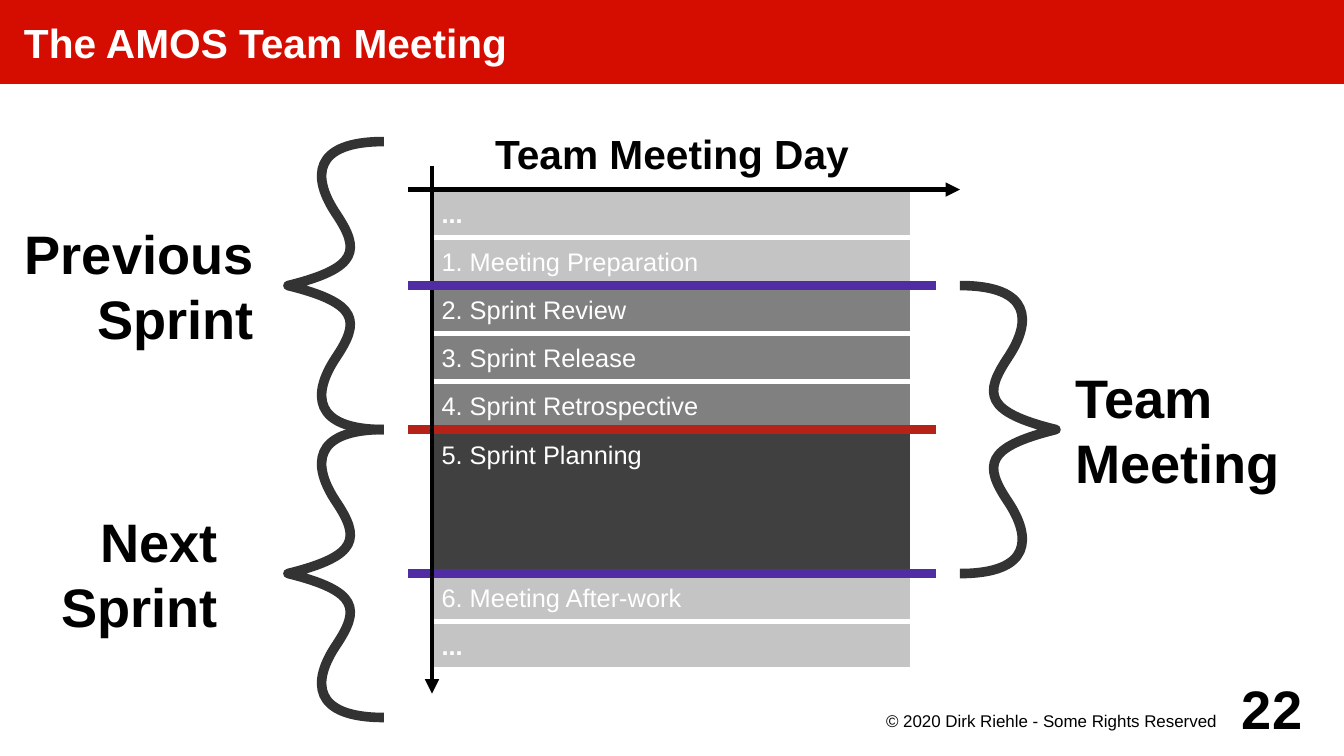
"""Build the team meeting agenda slide with its sprint braces."""
from lxml import etree
from pptx import Presentation
from pptx.dml.color import RGBColor
from pptx.enum import shapes, text
from pptx.oxml import ns
from pptx.util import Cm, Pt

BLACK = RGBColor(0x00, 0x00, 0x00)
WHITE = RGBColor(0xFF, 0xFF, 0xFF)
TITLE_RED = RGBColor(0xD5, 0x0D, 0x01)
LIGHT = RGBColor(0xC4, 0xC4, 0xC4)
MEDIUM = RGBColor(0x80, 0x80, 0x80)
DARK = RGBColor(0x40, 0x40, 0x40)
BRACE = RGBColor(0x33, 0x33, 0x33)
PURPLE = RGBColor(0x50, 0x2D, 0xA2)
RED = RGBColor(0xB6, 0x21, 0x18)
LEFT, CENTER, RIGHT = text.PP_ALIGN.LEFT, text.PP_ALIGN.CENTER, text.PP_ALIGN.RIGHT
TOP, MIDDLE = text.MSO_ANCHOR.TOP, text.MSO_ANCHOR.MIDDLE


def write(sp, content, size=15, color=BLACK, bold=False, align=LEFT,
          anchor=MIDDLE, insets=(0.2, 0.2, 0.2, 0.2)):
    tf = sp.text_frame
    tf.word_wrap = True
    tf.vertical_anchor = anchor
    tf.margin_left, tf.margin_top, tf.margin_right, tf.margin_bottom = map(Cm, insets)
    for i, line in enumerate(content.split("\n")):
        p = tf.add_paragraph() if i else tf.paragraphs[0]
        p.alignment = align
        r = p.add_run()
        r.text = line
        r.font.name, r.font.size, r.font.bold = "Arial", Pt(size), bold
        r.font.color.rgb = color


def stroke(sp, color, width, end):
    sp.line.color.rgb = color
    sp.line.width = Pt(width)
    ln = sp.line._get_or_add_ln()
    etree.SubElement(ln, ns.qn("a:round"))
    if end:
        etree.SubElement(ln, ns.qn("a:tailEnd"), type=end)


prs = Presentation()
prs.slide_width, prs.slide_height = Cm(28), Cm(15.75)
s = prs.slides.add_slide(prs.slide_layouts[6])

title = s.shapes.add_shape(shapes.MSO_SHAPE.RECTANGLE, 0, 0, Cm(28), Cm(1.75))
title.shadow.inherit = False
title.fill.solid()
title.fill.fore_color.rgb = TITLE_RED
title.line.fill.background()
write(title, "The AMOS Team Meeting", size=24, color=WHITE, bold=True, insets=(0.5, 0, 0, 0))

agenda = [
    ("...", LIGHT, 1),
    ("1. Meeting Preparation", LIGHT, 1),
    ("2. Sprint Review", MEDIUM, 1),
    ("3. Sprint Release", MEDIUM, 1),
    ("4. Sprint Retrospective", MEDIUM, 1),
    ("5. Sprint Planning", DARK, 3),
    ("6. Meeting After-work", LIGHT, 1),
    ("...", LIGHT, 1),
]
y = 3.95
for label, shade, height in agenda:
    sp = s.shapes.add_shape(shapes.MSO_SHAPE.RECTANGLE, Cm(9), Cm(y), Cm(10), Cm(height))
    sp.shadow.inherit = False
    sp.fill.solid()
    sp.fill.fore_color.rgb = shade
    sp.line.color.rgb = WHITE
    sp.line.width = Pt(2.83)
    write(sp, label, color=WHITE, bold=label == "...", anchor=TOP if height > 1 else MIDDLE)
    y += height

lines = [
    (8.5, 11.95, 19.5, 11.95, PURPLE, 5.67, None),
    (8.5, 3.95, 20, 3.95, BLACK, 2.83, "triangle"),
    (8.5, 8.95, 19.5, 8.95, RED, 5.67, None),
    (9, 3.45, 9, 14.45, BLACK, 2.83, "triangle"),
    (8.5, 5.95, 19.5, 5.95, PURPLE, 5.67, None),
]
for x1, y1, x2, y2, color, width, end in lines:
    cx = s.shapes.add_connector(shapes.MSO_CONNECTOR.STRAIGHT, Cm(x1), Cm(y1), Cm(x2), Cm(y2))
    stroke(cx, color, width, end)
    etree.SubElement(cx._element.spPr, ns.qn("a:effectLst"))

curves = [
    ((1.5, 0), (1.5, 0.75), (1, 1.5)),
    ((0.5, 2.25), (0.5, 2.63), (2, 3)),
    ((0.5, 3.37), (0.5, 3.75), (1, 4.5)),
    ((1.5, 5.25), (1.5, 6), (0, 6)),
]
for x, y, direction in [(8, 2.95, -1), (8, 8.95, -1), (20, 5.95, 1)]:
    fb = s.shapes.build_freeform(Cm(x), Cm(y))
    ends = [curve[-1] for curve in curves]
    fb.add_line_segments([(Cm(x + direction * px), Cm(y + py)) for px, py in ends], close=False)
    brace = fb.convert_to_shape()
    brace.shadow.inherit = False
    brace.fill.background()
    stroke(brace, BRACE, 5.67, None)
    for segment, curve in zip(list(brace._element.iter(ns.qn("a:lnTo"))), curves):
        bezier = etree.Element(ns.qn("a:cubicBezTo"))
        for px, py in curve:
            local_x = px if direction > 0 else 2 - px
            etree.SubElement(bezier, ns.qn("a:pt"), x=str(int(Cm(local_x))), y=str(int(Cm(py))))
        segment.getparent().replace(segment, bezier)

labels = [
    ("Team Meeting Day", 9, 2.45, 10, 1.5, 24, True, CENTER, MIDDLE, (0.2, 0.2, 0.2, 0.2)),
    ("Previous\nSprint", 0, 3.95, 6, 4, 32, True, RIGHT, MIDDLE, (0.2, 0.2, 0.71, 0.2)),
    ("Next\nSprint", 0, 9.95, 6, 4, 32, True, RIGHT, MIDDLE, (0.2, 0.2, 1.46, 0.2)),
    ("Team\nMeeting", 22, 6.95, 6, 4, 32, True, LEFT, MIDDLE, (0.4, 0.2, 0.2, 0.2)),
    ("© 2020 Dirk Riehle - Some Rights Reserved", 18, 14.75, 8, 0.75, 10, False, RIGHT, TOP,
     (0, 0.05, 0.66, 0)),
    ("22", 25.5, 14, 2, 1.5, 32, True, RIGHT, MIDDLE, (0, 0, 0.37, 0)),
]
for label, x, y, w, h, size, bold, align, anchor, insets in labels:
    tb = s.shapes.add_textbox(Cm(x), Cm(y), Cm(w), Cm(h))
    write(tb, label, size=size, bold=bold, align=align, anchor=anchor, insets=insets)

prs.save("out.pptx")
